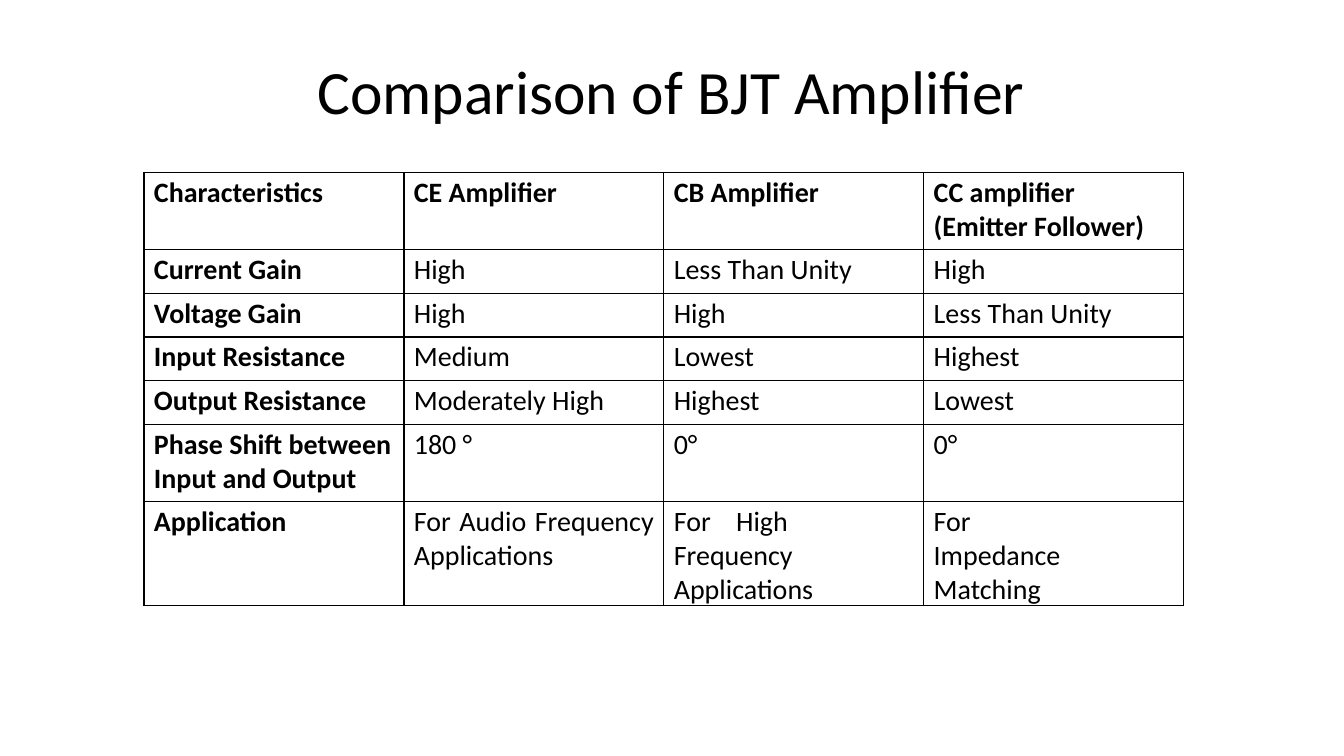
from pptx import Presentation
from pptx.dml.color import RGBColor
from pptx.enum import text
from pptx.oxml.ns import qn
from pptx.util import Cm, Pt
from lxml import etree

BLACK = RGBColor(0, 0, 0)
FONT = "Calibri"
INDENT = 0.25
ROW_HEIGHTS = [1.94, 1.1, 1.1, 1.1, 1.1, 1.94, 1.94]
ROWS = [
    ["Characteristics", "CE Amplifier", "CB Amplifier", "CC amplifier\n(Emitter Follower)"],
    ["Current Gain", "High", "Less Than Unity", "High"],
    ["Voltage Gain", "High", "High", "Less Than Unity"],
    ["Input Resistance", "Medium", "Lowest", "Highest"],
    ["Output Resistance", "Moderately High", "Highest", "Lowest"],
    ["Phase Shift between\nInput and Output", "180 °", "0°", "0°"],
    ["Application", "For Audio Frequency Applications",
     "For\tHigh\tFrequency Applications", "For\tImpedance Matching"],
]
TABS = {(6, 2): [1.57, 3.3], (6, 3): [3.1]}
JUSTIFIED = {(6, 1)}


def add_run(p, words, size, bold=False):
    r = p.add_run()
    r.text = words
    r.font.name = FONT
    r.font.size = Pt(size)
    r.font.bold = bold
    r.font.color.rgb = BLACK


def add_tabs(p, stops):
    tabs = etree.SubElement(p._p.get_or_add_pPr(), qn("a:tabLst"))
    for stop in stops:
        etree.SubElement(tabs, qn("a:tab"), pos=str(Cm(stop)), algn="l")


def add_borders(cell):
    tc_pr = cell._tc.get_or_add_tcPr()
    for side in ("lnL", "lnR", "lnT", "lnB"):
        ln = etree.SubElement(tc_pr, qn("a:" + side), w=str(Pt(1)))
        fill = etree.SubElement(ln, qn("a:solidFill"))
        etree.SubElement(fill, qn("a:srgbClr"), val=str(BLACK))


def fill_cell(cell, words, bold, stops, justified):
    cell.margin_left = Cm(INDENT)
    cell.margin_right = Cm(INDENT)
    cell.margin_top = Cm(0.08)
    cell.margin_bottom = 0
    cell.vertical_anchor = text.MSO_ANCHOR.TOP
    add_borders(cell)
    cell.fill.background()
    tf = cell.text_frame
    for i, line in enumerate(words.split("\n")):
        p = tf.add_paragraph() if i else tf.paragraphs[0]
        if justified:
            p.alignment = text.PP_ALIGN.JUSTIFY
        if stops:
            add_tabs(p, stops)
        add_run(p, line, 20, bold)


def add_title(s, left, top, width, height):
    sp = s.shapes.add_textbox(Cm(left), Cm(top), Cm(width), Cm(height))
    tf = sp.text_frame
    tf.word_wrap = True
    tf.margin_left = Cm(2.92)
    tf.margin_right = tf.margin_bottom = 0
    tf.margin_top = Cm(0.03)
    add_run(tf.paragraphs[0], "Comparison of BJT Amplifier", 44)


def add_comparison(s, left, top, width):
    columns = len(ROWS[0])
    table = s.shapes.add_table(len(ROWS), columns, Cm(left), Cm(top),
                               Cm(width), Cm(sum(ROW_HEIGHTS))).table
    table.first_row = table.horz_banding = False
    for column in table.columns:
        column.width = Cm(width / columns)
    for i, words in enumerate(ROWS):
        table.rows[i].height = Cm(ROW_HEIGHTS[i])
        for j, word in enumerate(words):
            fill_cell(table.cell(i, j), word, i == 0 or j == 0,
                      TABS.get((i, j)), (i, j) in JUSTIFIED)


def main():
    prs = Presentation()
    prs.slide_width, prs.slide_height = Cm(33.87), Cm(19.05)
    s = prs.slides.add_slide(prs.slide_layouts[6])
    add_title(s, 5.08, 1.3, 23.7, 1.93)
    add_comparison(s, 3.63, 4.35, 26.2)
    prs.save("out.pptx")


if __name__ == "__main__":
    main()
